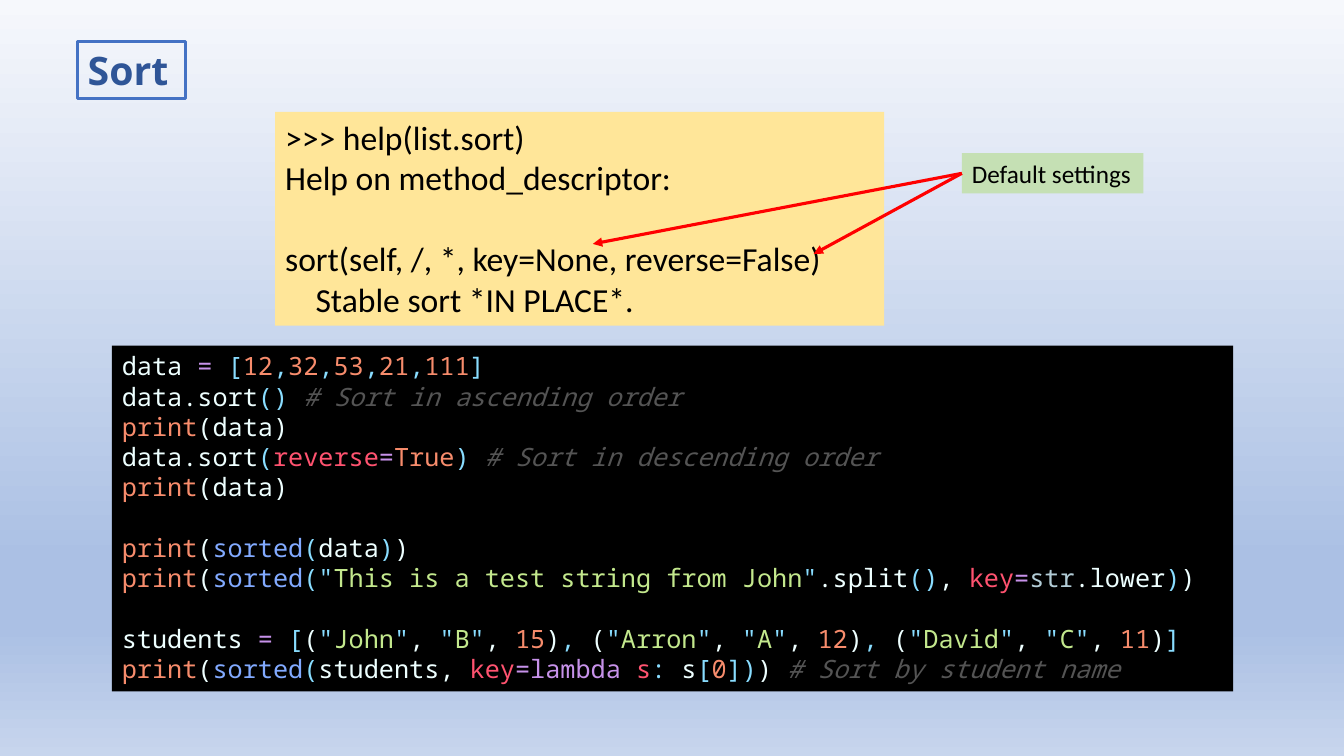
from pptx import Presentation
from pptx.dml.color import RGBColor
from pptx.enum.shapes import MSO_CONNECTOR as CONN
from pptx.enum.text import MSO_ANCHOR as ANCHOR, MSO_AUTO_SIZE as FIT, PP_ALIGN as ALIGN
from pptx.oxml.ns import qn
from pptx.util import Inches, Pt
from lxml.etree import SubElement

BLACK = RGBColor(0x00, 0x00, 0x00)
RED = RGBColor(0xFF, 0x00, 0x00)
BLUE = RGBColor(0x44, 0x72, 0xC4)
DARK_BLUE = RGBColor(0x2F, 0x55, 0x97)
YELLOW = RGBColor(0xFF, 0xE6, 0x99)
GREEN = RGBColor(0xC5, 0xE0, 0xB4)

PLAIN = RGBColor(0xEE, 0xFF, 0xFF)
OPERATOR = RGBColor(0xC7, 0x92, 0xEA)
BRACKET = RGBColor(0x89, 0xDD, 0xFF)
NUMBER = RGBColor(0xF7, 0x8C, 0x6C)
STRING = RGBColor(0xC3, 0xE8, 0x8D)
PARAM = RGBColor(0xFF, 0x53, 0x70)
FUNCTION = RGBColor(0x82, 0xAA, 0xFF)
TYPE = RGBColor(0xB2, 0xCC, 0xD6)
COMMENT = RGBColor(0x54, 0x54, 0x54)

BACKGROUND = [
    (0, RGBColor(0xF6, 0xF8, 0xFC)),
    (74, RGBColor(0xAB, 0xC0, 0xE4)),
    (83, RGBColor(0xAB, 0xC0, 0xE4)),
    (100, RGBColor(0xC7, 0xD5, 0xED)),
]

HELP_LINES = [
    ">>> help(list.sort)",
    "Help on method_descriptor:",
    "sort(self, /, *, key=None, reverse=False)",
    "    Stable sort *IN PLACE*.",
]


def joined(groups, separator):
    tokens = []
    for i, group in enumerate(groups):
        tokens += ([separator] if i else []) + group
    return tokens


def quoted(text):
    return [('"', BRACKET), (text, STRING), ('"', BRACKET)]


def student(name, grade, age):
    fields = [quoted(name), quoted(grade), [(age, NUMBER)]]
    return [("(", PLAIN)] + joined(fields, (", ", PLAIN)) + [(")", PLAIN)]


PRINT = [("print", NUMBER), ("(", PLAIN)]
PRINT_DATA = [("print", NUMBER), ("(data)", PLAIN)]
PRINT_SORTED = PRINT + [("sorted", FUNCTION), ("(", BRACKET)]
CLOSE = [(")", BRACKET), (")", PLAIN)]
VALUES = [[(n, NUMBER)] for n in ("12", "32", "53", "21", "111")]
STUDENTS = [student("John", "B", "15"), student("Arron", "A", "12"),
            student("David", "C", "11")]

CODE_LINES = [
    [("data ", PLAIN), ("= ", OPERATOR), ("[", BRACKET)]
    + joined(VALUES, (",", BRACKET)) + [("]", BRACKET)],
    [("data.sort", PLAIN), ("() ", BRACKET), ("# Sort in ascending order", COMMENT)],
    PRINT_DATA,
    [("data.sort", PLAIN), ("(", BRACKET), ("reverse", PARAM), ("=", OPERATOR),
     ("True", NUMBER), (") ", BRACKET), ("# Sort in descending order", COMMENT)],
    PRINT_DATA,
    PRINT_SORTED + [("data", PLAIN)] + CLOSE,
    PRINT_SORTED + quoted("This is a test string from John")
    + [(".split", PLAIN), ("()", BRACKET), (", ", PLAIN), ("key", PARAM),
       ("=", OPERATOR), ("str", TYPE), (".lower", PLAIN)] + CLOSE,
    [("students ", PLAIN), ("= ", OPERATOR), ("[", BRACKET)]
    + joined(STUDENTS, (", ", BRACKET)) + [("]", BRACKET)],
    PRINT_SORTED
    + [("students, ", PLAIN), ("key", PARAM), ("=lambda ", OPERATOR), ("s", PARAM),
       (":", BRACKET), (" s", PLAIN), ("[", BRACKET), ("0", NUMBER), ("])", BRACKET),
       (") ", PLAIN), ("# Sort by student name", COMMENT)],
]


def set_background(slide):
    fill = slide.background.fill
    fill.gradient()
    fill.gradient_angle = 270
    stops = next(slide.element.iter(qn("a:gsLst")))
    for stop in list(stops):
        stops.remove(stop)
    for percent, color in BACKGROUND:
        stop = SubElement(stops, qn("a:gs"), pos=str(percent * 1000))
        SubElement(stop, qn("a:srgbClr"), val=str(color))


def add_run(p, text, font, size, color, bold=False, italic=False):
    r = p.add_run()
    r.text = text
    r.font.name = font
    r.font.size = Pt(size)
    r.font.color.rgb = color
    r.font.bold = bold
    r.font.italic = italic


def add_title(slide, text, left, top, width, height):
    sp = slide.shapes.title
    sp.left, sp.top, sp.width, sp.height = map(Inches, (left, top, width, height))
    sp.line.color.rgb = BLUE
    sp.line.width = Pt(2.25)
    tf = sp.text_frame
    tf.auto_size = FIT.NONE
    tf.vertical_anchor = ANCHOR.TOP
    p = tf.paragraphs[0]
    p.alignment = ALIGN.LEFT
    add_run(p, text, "Open Sans", 28, DARK_BLUE, bold=True)


def add_box(slide, lines, left, top, width, height, fill, font, size,
            gap=0, gap_before=(), wrap=True):
    sp = slide.shapes.add_textbox(*map(Inches, (left, top, width, height)))
    sp.fill.solid()
    sp.fill.fore_color.rgb = fill
    tf = sp.text_frame
    tf.word_wrap = wrap
    tf.auto_size = FIT.SHAPE_TO_FIT_TEXT
    for i, tokens in enumerate(lines):
        p = tf.add_paragraph() if i else tf.paragraphs[0]
        if i in gap_before:
            p.space_before = Pt(gap)
        for text, color in tokens:
            add_run(p, text, font, size, color, italic=color == COMMENT)
    return sp


def add_arrow(slide, source, x, y):
    line = slide.shapes.add_connector(
        CONN.STRAIGHT, source.left, source.top, Inches(x), Inches(y))
    line.begin_connect(source, 1)
    line.line.color.rgb = RED
    line.line.width = Pt(2.25)
    SubElement(line.line._get_or_add_ln(), qn("a:tailEnd"), type="triangle")
    SubElement(line._element.spPr, qn("a:effectLst"))


def main():
    prs = Presentation()
    prs.slide_width = Inches(13.33)
    prs.slide_height = Inches(7.5)
    slide = prs.slides.add_slide(prs.slide_layouts[5])
    set_background(slide)
    add_title(slide, "Sort", 0.77, 0.41, 1.07, 0.57)
    add_box(slide, [[(text, BLACK)] for text in HELP_LINES], 2.73, 1.11, 6.04, 2.12,
            YELLOW, "Calibri", 24, gap=29, gap_before=(2,))
    label = add_box(slide, [[("Default settings", BLACK)]], 9.54, 1.52, 1.8, 0.4,
                    GREEN, "Calibri", 18, wrap=False)
    for x, y in ((5.88, 2.42), (8.07, 2.52)):
        add_arrow(slide, label, x, y)
    add_box(slide, CODE_LINES, 1.11, 3.43, 11.12, 3.43,
            BLACK, "Noto Sans Mono", 18, gap=21.6, gap_before=(5, 7))
    prs.save("out.pptx")


if __name__ == "__main__":
    main()
